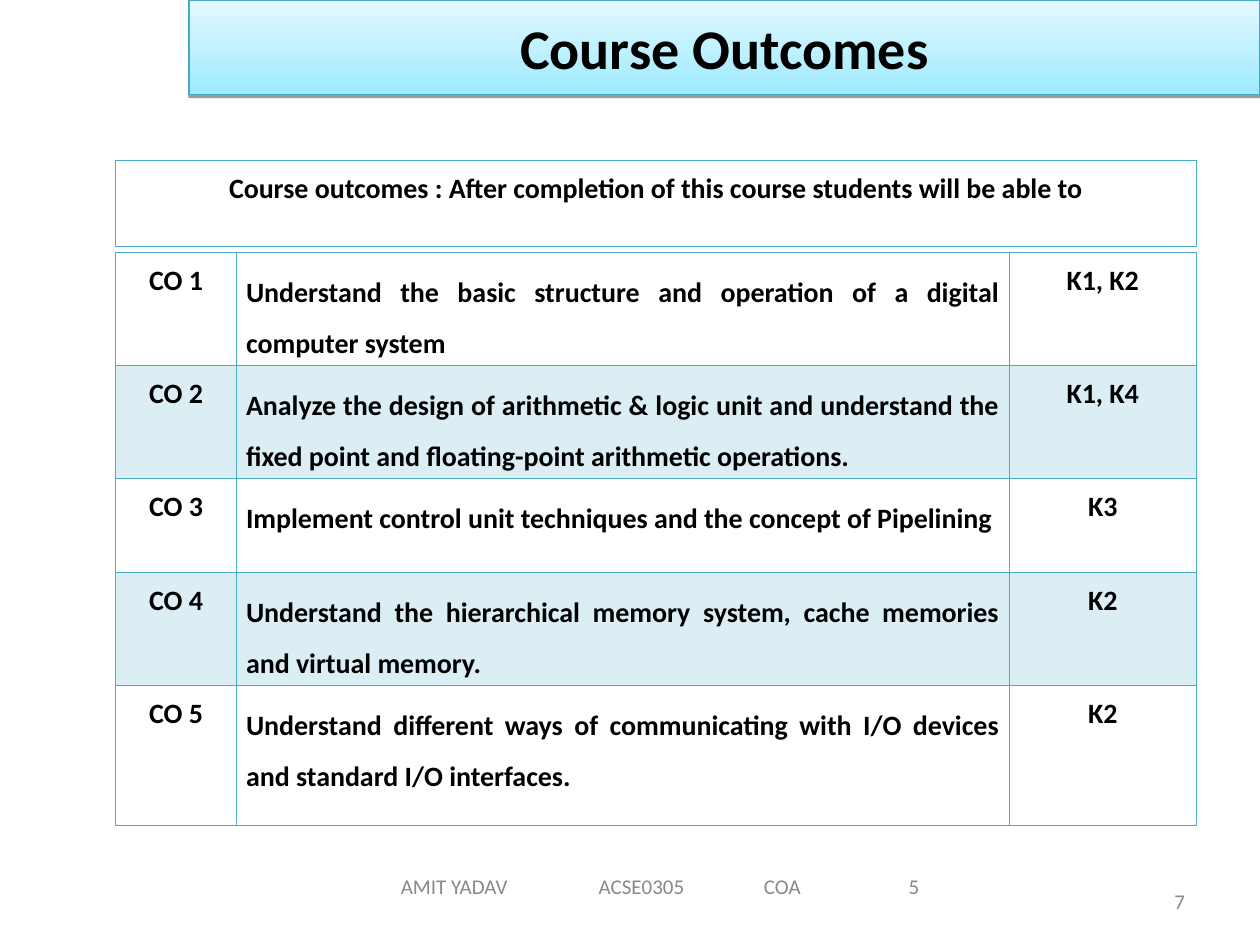
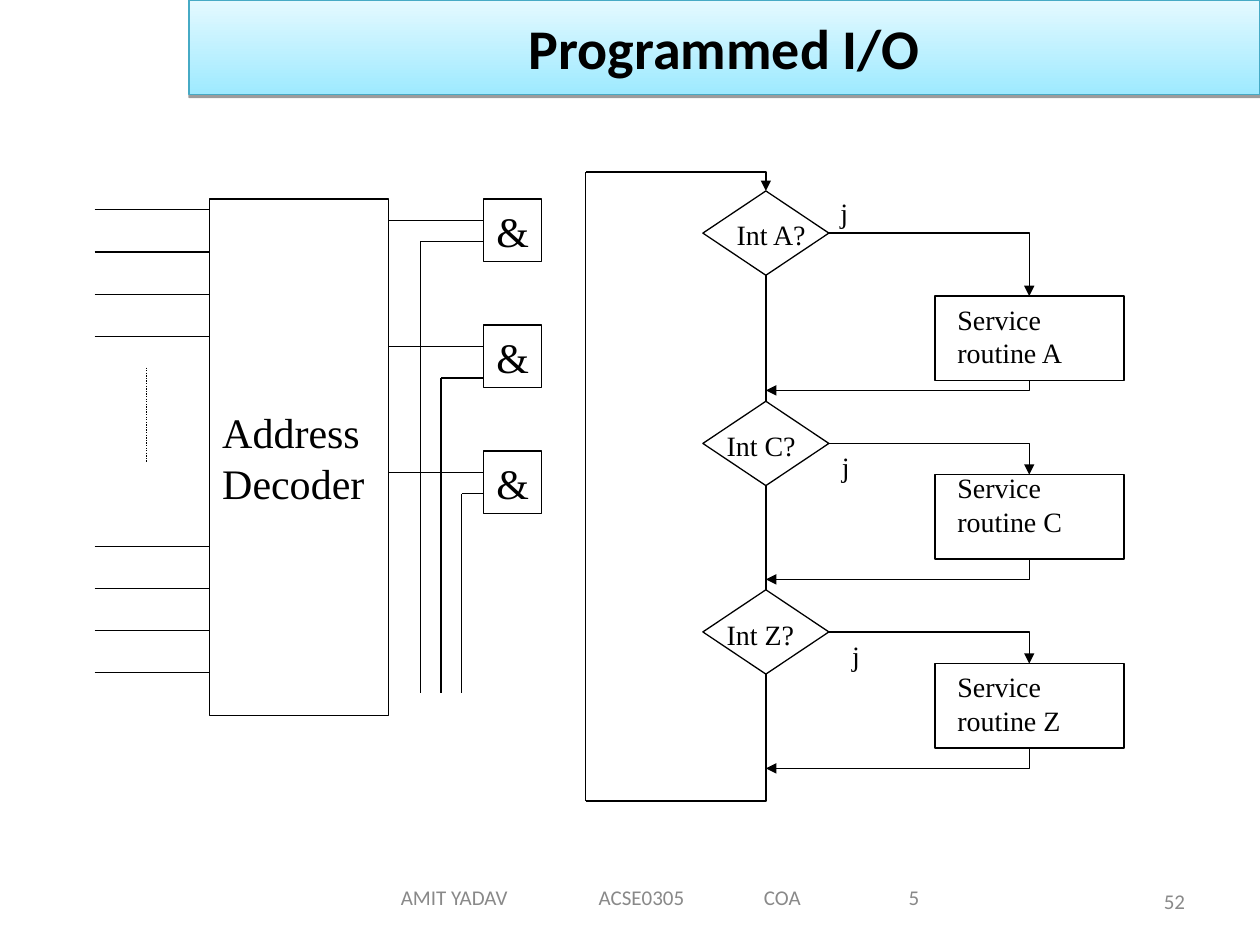
import lxml.etree
import pptx
import pptx.dml.color
import pptx.enum.dml
import pptx.enum.shapes
import pptx.enum.text
import pptx.oxml.ns
import pptx.util

COLORS = {
    "text": "000000",
    "muted": "898989",
    "band_bottom": "9EEAFF",
    "band_top": "E4F9FF",
    "band_line": "46AAC5",
    "table_line": "4BACC6",
    "row_tint": "DBEEF4",
}
SANS, SERIF = "Calibri", "Times New Roman"
ALIGN = pptx.enum.text.PP_ALIGN
ANCHOR = pptx.enum.text.MSO_ANCHOR
SHAPE = pptx.enum.shapes.MSO_SHAPE
CONNECTOR = pptx.enum.shapes.MSO_CONNECTOR

FOOTER = ("AMIT YADAV", "ACSE0305", "COA", "5")
FOOTER_TABS = (3.99, 7.32, 10.24)

OUTCOMES_LEAD = "Course outcomes : After completion of this course students will be able to"
OUTCOMES = [
    ("CO 1", "Understand the basic structure and operation of a digital computer system", "K1, K2"),
    ("CO 2", "Analyze the design of arithmetic & logic unit and understand the fixed point "
             "and floating-point arithmetic operations.", "K1, K4"),
    ("CO 3", "Implement control unit techniques and the concept of Pipelining", "K3"),
    ("CO 4", "Understand the hierarchical memory system, cache memories and virtual memory.", "K2"),
    ("CO 5", "Understand different ways of communicating with I/O devices and standard "
             "I/O interfaces.", "K2"),
]

# device, decision top, routine top, return line, question at, routine text top, "j" at
POLLS = [
    ("A", 3.85, 5.97, 7.87, (14.6, 4.27), 5.97, (16.69, 3.81)),
    ("C", 8.09, 9.57, 11.68, (14.4, 8.51), 9.36, (16.72, 8.93)),
    ("Z", 11.89, 13.38, 15.49, (14.4, 12.32), 13.38, (16.93, 12.74)),
]


def rgb(name):
    return pptx.dml.color.RGBColor.from_string(COLORS[name])


def cms(*values):
    return [pptx.util.Cm(v) for v in values]


def add_xml(parent, tag, **attributes):
    child = lxml.etree.SubElement(parent, pptx.oxml.ns.qn(tag))
    for key, value in attributes.items():
        child.set(key, str(value))
    return child


def style_text(tf, size, font, color="text", bold=False, align=ALIGN.LEFT):
    for p in tf.paragraphs:
        p.alignment = align
        for r in p.runs:
            r.font.size = pptx.util.Pt(size)
            r.font.name = font
            r.font.bold = bold
            r.font.color.rgb = rgb(color)


def add_text(s, box, text, size=16, font=SERIF, color="text", align=ALIGN.LEFT,
             anchor=ANCHOR.TOP):
    tf = s.shapes.add_textbox(*cms(*box)).text_frame
    tf.word_wrap = True
    tf.vertical_anchor = anchor
    tf.text = text
    style_text(tf, size, font, color, align=align)
    return tf


def add_title_band(s, title):
    sp = s.shapes.title
    sp.left, sp.top, sp.width, sp.height = cms(3.81, 0, 21.59, 1.91)
    sp.fill.gradient()
    sp.fill.gradient_angle = 90
    for stop, name in zip(sp.fill.gradient_stops, ("band_bottom", "band_top")):
        stop.color.rgb = rgb(name)
    sp.line.color.rgb = rgb("band_line")
    sp.line.width = pptx.util.Pt(0.75)
    effects = add_xml(sp._element.spPr, "a:effectLst")
    shadow = add_xml(effects, "a:outerShdw", blurRad=0, dist=pptx.util.Pt(1.6),
                     dir=5400000, rotWithShape=0)
    add_xml(add_xml(shadow, "a:srgbClr", val=COLORS["text"]), "a:alpha", val=38000)
    tf = sp.text_frame
    tf.text = title
    tf.auto_size = pptx.enum.text.MSO_AUTO_SIZE.NONE
    tf.vertical_anchor = ANCHOR.MIDDLE
    style_text(tf, 32, SANS, bold=True, align=ALIGN.CENTER)


def add_footer(s, top, number):
    tf = add_text(s, (6.35, top, 13.97, 1.02), "", anchor=ANCHOR.MIDDLE)
    tf.margin_left = pptx.util.Cm(1.73)
    p = tf.paragraphs[0]
    tabs = add_xml(p._p.get_or_add_pPr(), "a:tabLst")
    for position in FOOTER_TABS:
        add_xml(tabs, "a:tab", pos=pptx.util.Cm(position), algn="l")
    p.text = "\t".join(FOOTER)
    style_text(tf, 12, SANS, "muted")
    add_text(s, (18.21, 17.65, 5.93, 1.02), number, 12, SANS, "muted",
             ALIGN.RIGHT, ANCHOR.MIDDLE)


def add_slide(prs, title, footer_top, number):
    s = prs.slides.add_slide(prs.slide_layouts[5])
    add_title_band(s, title)
    add_footer(s, footer_top, number)
    return s


def set_borders(cell, top=0.45, bottom=0.45):
    tcPr = cell._tc.get_or_add_tcPr()
    widths = {"a:lnL": 0.45, "a:lnR": 0.45, "a:lnT": top, "a:lnB": bottom}
    for i, (tag, width) in enumerate(widths.items()):
        ln = add_xml(tcPr, tag, w=pptx.util.Pt(width))
        add_xml(add_xml(ln, "a:solidFill"), "a:srgbClr", val=COLORS["table_line"])
        tcPr.insert(i, ln)


def add_plain_table(s, left, top, widths, heights):
    frame = s.shapes.add_table(len(heights), len(widths),
                               *cms(left, top, sum(widths), sum(heights)))
    table = frame.table
    table.first_row = table.horz_banding = False
    for column, width in zip(table.columns, widths):
        column.width = pptx.util.Cm(width)
    for row, height in zip(table.rows, heights):
        row.height = pptx.util.Cm(height)
    return table


def fill_cell(cell, text, align=ALIGN.CENTER, spacing=1.15, after=0, tinted=False):
    cell.text = text
    cell.margin_left = cell.margin_right = pptx.util.Cm(0.19)
    if tinted:
        cell.fill.solid()
        cell.fill.fore_color.rgb = rgb("row_tint")
    else:
        cell.fill.background()
    style_text(cell.text_frame, 16, SANS, bold=True, align=align)
    p = cell.text_frame.paragraphs[0]
    p.line_spacing = spacing
    p.space_after = pptx.util.Pt(after)


def add_outcome_tables(s):
    table = add_plain_table(s, 2.33, 5.08, (2.44, 15.57, 3.78), (2.03, 2.03, 1.88, 2.03, 2.82))
    for i, outcome in enumerate(OUTCOMES):
        for j, text in enumerate(outcome):
            cell = table.cell(i, j)
            layout = {"align": ALIGN.JUSTIFY, "spacing": 1.5, "after": 10} if j == 1 else {}
            fill_cell(cell, text, tinted=i % 2 == 1, **layout)
            set_borders(cell, top=0.96 if i == 1 else 0.45, bottom=0.96 if i == 0 else 0.45)
    lead = add_plain_table(s, 2.33, 3.24, (21.79,), (1.73,)).cell(0, 0)
    fill_cell(lead, OUTCOMES_LEAD, after=12)
    set_borders(lead, bottom=0.96)


def add_outline(s, kind, box, text="", size=24):
    """Draw an unfilled black-edged shape with centred-in-height text."""
    sp = s.shapes.add_shape(kind, *cms(*box))
    sp.shadow.inherit = False
    sp.fill.background()
    sp.line.color.rgb = rgb("text")
    sp.line.width = pptx.util.Pt(0.75)
    if text:
        tf = sp.text_frame
        tf.text = text
        tf.vertical_anchor = ANCHOR.MIDDLE
        style_text(tf, size, SERIF)
    return sp


def add_line(s, x1, y1, x2, y2, kind=CONNECTOR.STRAIGHT, dash=None, arrow=False):
    line = s.shapes.add_connector(kind, *cms(x1, y1, x2, y2))
    line.line.color.rgb = rgb("text")
    line.line.width = pptx.util.Pt(0.75)
    if dash:
        line.line.dash_style = dash
    if arrow:
        add_xml(line.line._get_or_add_ln(), "a:tailEnd", type="triangle")
    add_xml(line._element.spPr, "a:effectLst")
    return line


def add_elbow(s, x1, y1, x2, y2, arrow=True):
    """Draw one bend: right then down, or down then left when x2 is left of x1."""
    turned = x2 < x1
    if turned:
        mid_x, mid_y = (x1 + x2) / 2, (y1 + y2) / 2
        half_w, half_h = (y2 - y1) / 2, (x1 - x2) / 2
        x1, x2 = mid_x - half_w, mid_x + half_w
        y1, y2 = mid_y - half_h, mid_y + half_h
    line = add_line(s, x1, y1, x2, y2, CONNECTOR.ELBOW, arrow=arrow)
    spPr = line._element.spPr
    spPr.find(pptx.oxml.ns.qn("a:prstGeom")).set("prst", "bentConnector2")
    if turned:
        spPr.find(pptx.oxml.ns.qn("a:xfrm")).set("rot", "5400000")


def add_address_decoder(s):
    add_outline(s, SHAPE.RECTANGLE, (4.23, 4.01, 3.61, 10.41), "Address\nDecoder")
    for first in (4.23, 11.01):
        for i in range(4):
            y = first + i * 0.85
            add_line(s, 1.91, y, 4.23, y)
    add_line(s, 2.96, 7.41, 2.96, 9.31, dash=pptx.enum.dml.MSO_LINE.ROUND_DOT)
    for i, enable_y in enumerate((4.87, 7.62, 9.95)):
        gate_top = 4.01 + i * 2.54
        enable_x = 8.47 + i * 0.42
        gate = add_outline(s, SHAPE.RECTANGLE, (9.75, gate_top, 1.17, 1.27), "&")
        gate.text_frame.word_wrap = False
        gate.text_frame.paragraphs[0].alignment = ALIGN.CENTER
        add_line(s, 7.83, gate_top + 0.43, 9.74, gate_top + 0.43)
        add_line(s, 9.74, enable_y, enable_x, enable_y)
        add_line(s, enable_x, enable_y, enable_x, 13.97)


def add_polling_flow(s):
    flow_x, routine_x, loop_x = 15.44, 20.75, 11.81
    height = 1.7
    for device, test_y, routine_y, return_y, question_at, text_y, j_at in POLLS:
        test_mid = test_y + height / 2
        add_outline(s, SHAPE.FLOWCHART_DECISION, (flow_x - 1.27, test_y, 2.54, height))
        add_outline(s, SHAPE.FLOWCHART_PROCESS, (routine_x - 1.9, routine_y, 3.81, height))
        add_elbow(s, flow_x + 1.27, test_mid, routine_x, routine_y)
        add_elbow(s, routine_x, routine_y + height, flow_x, return_y)
        add_text(s, (*question_at, 2.12, 0.93), f"Int {device}?")
        add_text(s, (19.05, text_y, 3.18, 1.63), f"Service routine {device}")
        add_text(s, (*j_at, 0.66, 0.93), "j")
    tops = [poll[1] for poll in POLLS]
    for top, next_top in zip(tops, tops[1:]):
        add_line(s, flow_x, top + height, flow_x, next_top)
    add_elbow(s, flow_x, tops[-1] + height, loop_x, 16.15, arrow=False)
    add_line(s, loop_x, 16.15, loop_x, 3.47)
    add_elbow(s, loop_x, 3.47, flow_x, tops[0])


def main():
    prs = pptx.Presentation()
    prs.slide_width, prs.slide_height = cms(25.4, 19.05)
    add_outcome_tables(add_slide(prs, "Course Outcomes", 17.35, "7"))
    s = add_slide(prs, "Programmed I/O", 17.58, "52")
    add_address_decoder(s)
    add_polling_flow(s)
    prs.save("out.pptx")


if __name__ == "__main__":
    main()
